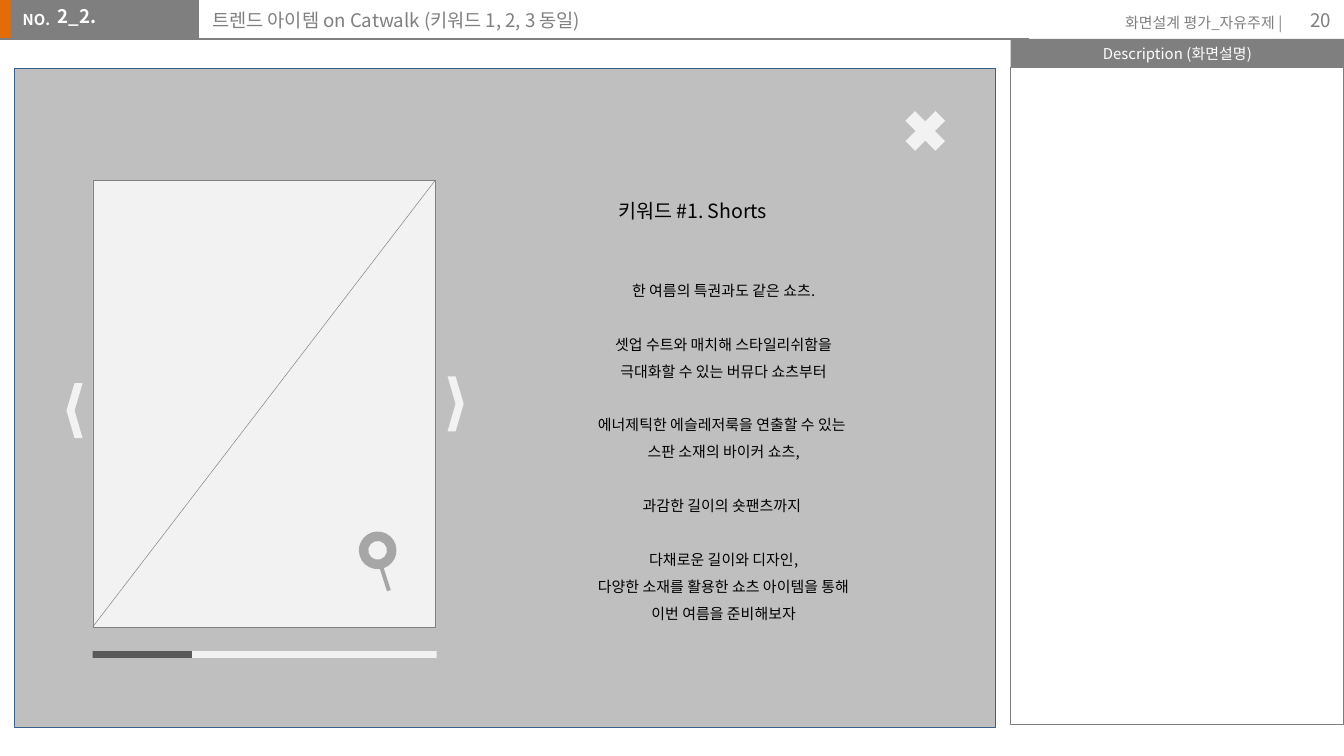
from dataclasses import dataclass

from lxml import etree
from pptx import Presentation
from pptx.dml.color import RGBColor
from pptx.enum.shapes import MSO_CONNECTOR, MSO_SHAPE
from pptx.enum.text import MSO_ANCHOR, MSO_AUTO_SIZE, PP_ALIGN
from pptx.oxml.ns import qn
from pptx.util import Inches, Pt

COLUMNS, ROWS = 100, 56.25
FONT = "Noto Sans CJK KR"
COLORS = {
    "orange": "E36C09", "gray": "7F7F7F", "panel": "BFBFBF", "blue": "3A5F8C",
    "light": "F2F2F2", "frame": "808080", "dark": "595959", "lens": "A6A6A6",
    "white": "FFFFFF", "black": "000000",
}


@dataclass(frozen=True)
class Box:
    col: float
    row: float
    cols: float
    rows: float

    @property
    def right(self) -> float:
        return self.col + self.cols

    @property
    def bottom(self) -> float:
        return self.row + self.rows

    def emu(self) -> list[int]:
        return [cells(v) for v in (self.col, self.row, self.cols, self.rows)]


@dataclass(frozen=True)
class Block:
    box: Box
    fill: str | None = None
    line: str | None = None
    weight: float = 0.25
    kind: MSO_SHAPE = MSO_SHAPE.RECTANGLE
    flipped: bool = False
    rotation: float = 0


@dataclass(frozen=True)
class Label:
    box: Box
    stanzas: tuple[tuple[str, ...], ...]
    size: float = 8
    color: str = "gray"
    bold: bool = False
    align: PP_ALIGN = PP_ALIGN.LEFT
    anchor: MSO_ANCHOR = MSO_ANCHOR.TOP
    spacing: float = 1.2
    left_inset: float = 1
    top_inset: float = 0.5
    wrap: bool = True


def cells(count: float) -> int:
    return Inches(count / 10)


def rgb(name: str) -> RGBColor:
    return RGBColor.from_string(COLORS[name])


def draw_block(shapes, block: Block) -> None:
    shape = shapes.add_shape(block.kind, *block.box.emu())
    shape.shadow.inherit = False
    shape.rotation = block.rotation
    if block.fill:
        shape.fill.solid()
        shape.fill.fore_color.rgb = rgb(block.fill)
    else:
        shape.fill.background()
    if block.line:
        shape.line.color.rgb = rgb(block.line)
        shape.line.width = Pt(block.weight)
    else:
        shape.line.fill.background()
    if block.flipped:
        shape.element.spPr.find(qn("a:xfrm")).set("flipH", "1")


def draw_line(shapes, start: tuple[float, float], end: tuple[float, float],
              color: str, weight: float) -> None:
    line = shapes.add_connector(MSO_CONNECTOR.STRAIGHT, *map(cells, start + end))
    line.line.color.rgb = rgb(color)
    line.line.width = Pt(weight)
    etree.SubElement(line.element.spPr, qn("a:effectLst"))


def write_label(shape, label: Label) -> None:
    shape.left, shape.top, shape.width, shape.height = label.box.emu()
    frame = shape.text_frame
    frame.auto_size = MSO_AUTO_SIZE.NONE if label.wrap else MSO_AUTO_SIZE.SHAPE_TO_FIT_TEXT
    frame.word_wrap = label.wrap
    frame.vertical_anchor = label.anchor
    frame.margin_left, frame.margin_right = cells(label.left_inset), cells(1)
    frame.margin_top = frame.margin_bottom = cells(label.top_inset)
    pitch = Pt(label.size * label.spacing)
    paragraph = None
    for stanza_index, stanza in enumerate(label.stanzas):
        for line_index, text in enumerate(stanza):
            paragraph = frame.add_paragraph() if paragraph else frame.paragraphs[0]
            paragraph.alignment = label.align
            paragraph.line_spacing = pitch
            paragraph.space_before = pitch if stanza_index and not line_index else Pt(0)
            run = paragraph.add_run()
            run.text = text
            font = run.font
            font.name, font.size, font.bold = FONT, Pt(label.size), label.bold
            font.color.rgb = rgb(label.color)
            etree.SubElement(run._r.get_or_add_rPr(), qn("a:ea"), typeface=FONT)


def draw_label(shapes, label: Label) -> None:
    write_label(shapes.add_textbox(*label.box.emu()), label)


HEADER_ROWS = 2.9
DESCRIPTION = Box(75.2, HEADER_ROWS, 24.8, 2.1)
PHOTO = Box(6.9, 13.4, 25.5, 33.25)
PROGRESS = Box(PHOTO.col, 48.45, 7.4, 0.5)
TILT = 342.3

HEADER_BLOCKS = [
    Block(Box(-0.1, 0, 1.2, HEADER_ROWS), "orange"),
    Block(Box(0.8, 0, 14, HEADER_ROWS), "gray"),
    Block(DESCRIPTION, "gray"),
    Block(Box(DESCRIPTION.col, DESCRIPTION.bottom, DESCRIPTION.cols, 48.9),
          line="gray", weight=0.75),
    Block(Box(1.05, 5.1, 73, 49), "panel", "blue"),
]
CONTROLS = [
    Block(Box(66.7, 7.6, 4.3, 4.3), "light", kind=MSO_SHAPE.MATH_MULTIPLY),
    Block(Box(4.95, 28.5, 1.2, 4.1), "light", kind=MSO_SHAPE.CHEVRON, flipped=True),
    Block(Box(33.3, 28, 1.2, 4.1), "light", kind=MSO_SHAPE.CHEVRON),
    Block(PROGRESS, "dark"),
    Block(Box(PROGRESS.right, PROGRESS.row, 18.2, PROGRESS.rows), "light"),
]
MAGNIFIER = [
    Block(Box(28.5, 42.1, 0.3, 1.9), "lens", rotation=TILT),
    Block(Box(26.7, 39.55, 2.8, 2.8), "lens", kind=MSO_SHAPE.DONUT, rotation=TILT),
]
TITLE = Label(Box(14.8, -0.35, 61.4, 3.2),
              (("트렌드 아이템 on Catwalk (키워드 1, 2, 3 동일)",),), 10, top_inset=1)
LABELS = [
    Label(Box(0.7, 0.3, 4.1, 2.4), (("NO.",),), color="white", bold=True),
    Label(Box(0.9, -0.65, 11, 3.1), (("2_2.",),), 10, "white", True,
          left_inset=3.4, top_inset=1),
    Label(DESCRIPTION, (("Description (화면설명)",),), color="white",
          align=PP_ALIGN.CENTER, anchor=MSO_ANCHOR.MIDDLE, top_inset=0.4),
    Label(Box(80, 0.5, 16.4, 2.4), (("화면설계 평가_자유주제 |",),), align=PP_ALIGN.RIGHT),
    Label(Box(94, 0, 6, 3), (("20",),), 10, align=PP_ALIGN.RIGHT,
          anchor=MSO_ANCHOR.MIDDLE),
    Label(Box(44.8, 13.45, 13.5, 3.4), (("키워드 #1. Shorts",),), 10.5, "black",
          align=PP_ALIGN.CENTER, spacing=1.8, wrap=False),
    Label(Box(43.1, 19.8, 21.5, 27.3), (
        ("한 여름의 특권과도 같은 쇼츠.",),
        ("셋업 수트와 매치해 스타일리쉬함을", "극대화할 수 있는 버뮤다 쇼츠부터"),
        ("에너제틱한 에슬레저룩을 연출할 수 있는 ", "스판 소재의 바이커 쇼츠,"),
        ("과감한 길이의 숏팬츠까지 ",),
        ("다채로운 길이와 디자인,", "다양한 소재를 활용한 쇼츠 아이템을 통해",
         "이번 여름을 준비해보자"),
    ), 8, "black", align=PP_ALIGN.CENTER, spacing=1.8, wrap=False),
]


def main() -> None:
    deck = Presentation()
    deck.slide_width, deck.slide_height = cells(COLUMNS), cells(ROWS)
    slide = deck.slides.add_slide(deck.slide_layouts[5])
    shapes = slide.shapes
    write_label(shapes.title, TITLE)
    for block in HEADER_BLOCKS:
        draw_block(shapes, block)
    draw_line(shapes, (0, HEADER_ROWS), (76.6, HEADER_ROWS), "gray", 0.75)
    photo = shapes.add_group_shape().shapes
    draw_block(photo, Block(PHOTO, "light", "frame"))
    draw_line(photo, (PHOTO.right, PHOTO.row), (PHOTO.col, PHOTO.bottom), "frame", 0.25)
    for block in CONTROLS:
        draw_block(shapes, block)
    magnifier = shapes.add_group_shape().shapes
    for block in MAGNIFIER:
        draw_block(magnifier, block)
    for label in LABELS:
        draw_label(shapes, label)
    deck.save("out.pptx")


main()
